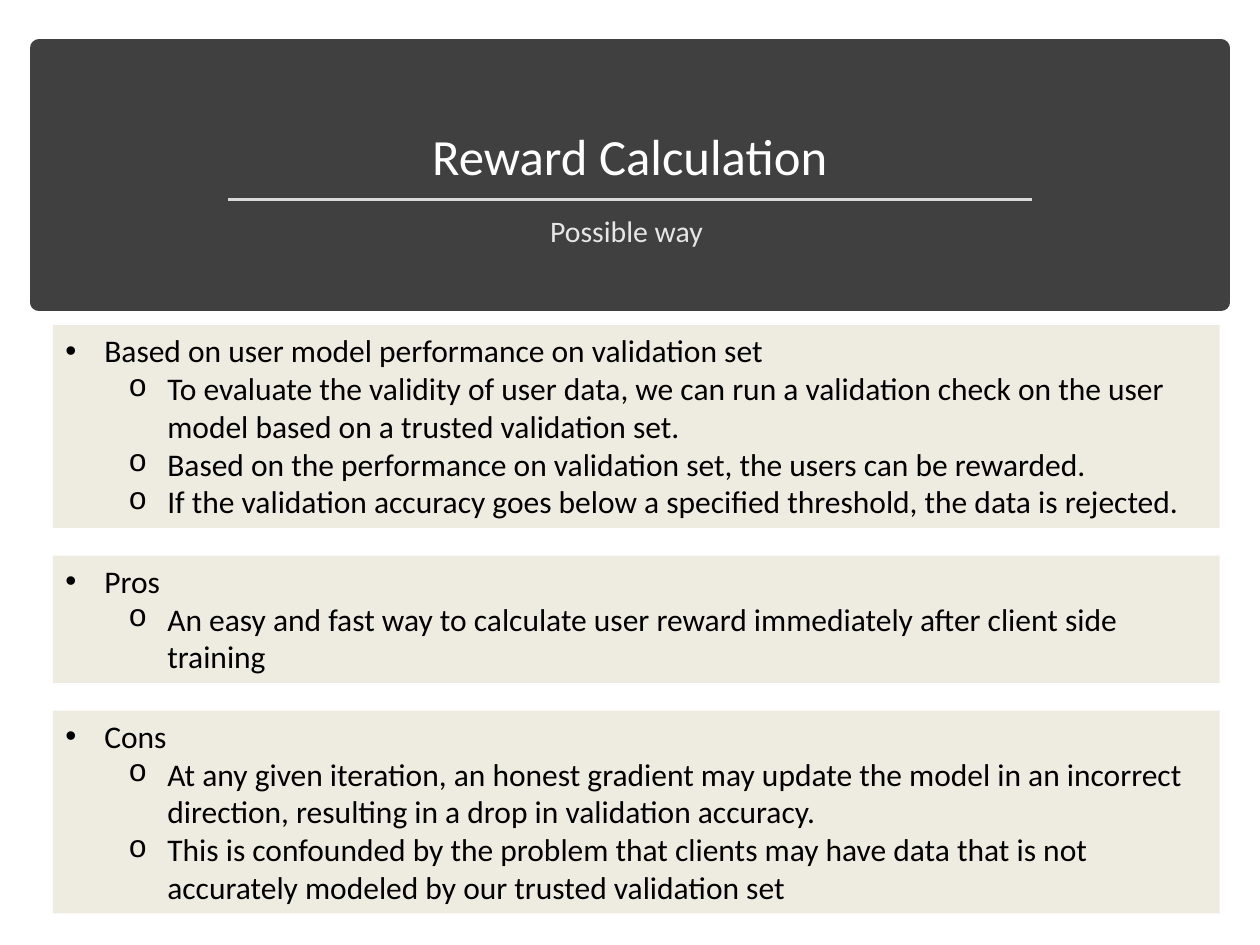
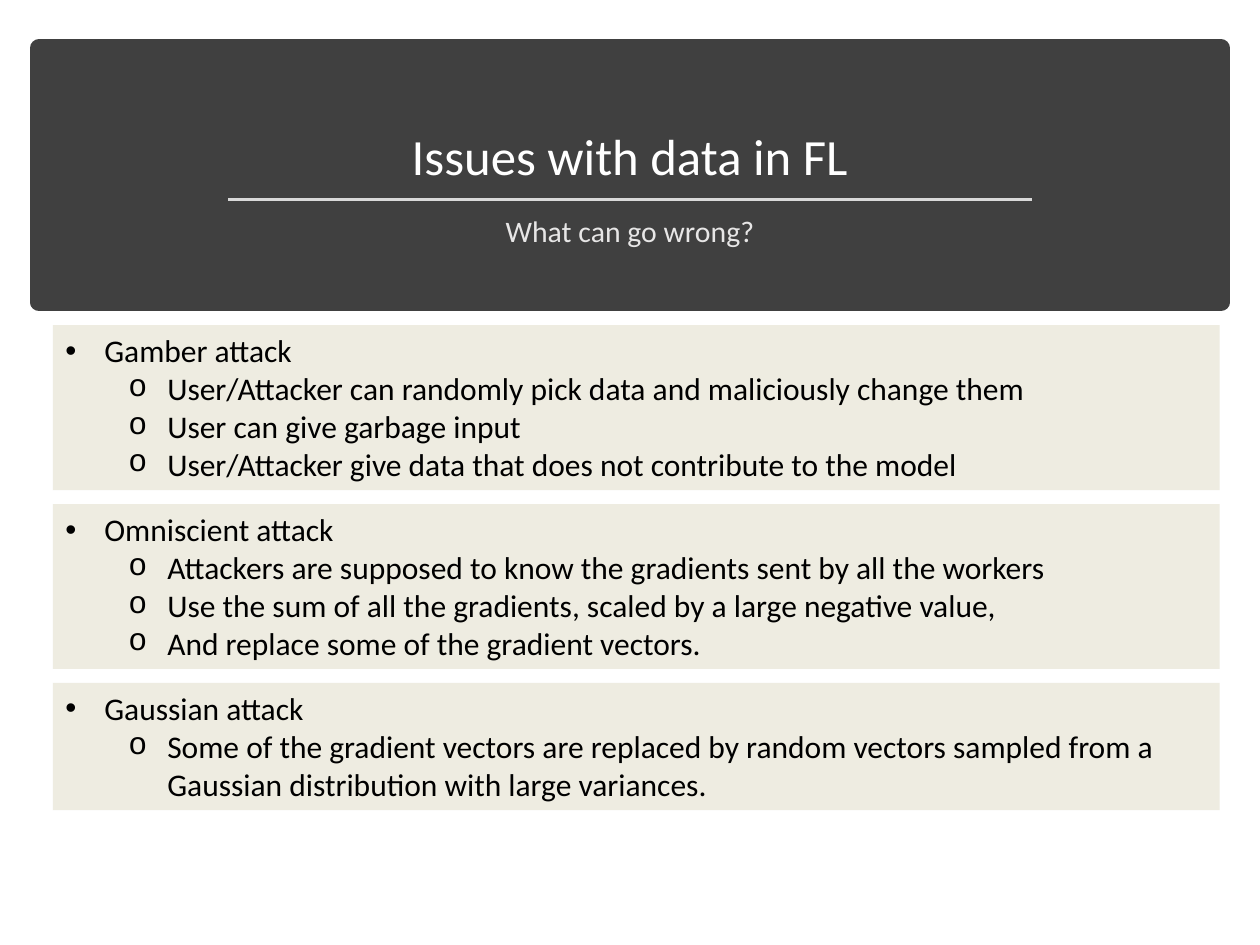
from dataclasses import dataclass

from lxml.etree import SubElement
from pptx import Presentation
from pptx.dml.color import RGBColor
from pptx.enum.shapes import MSO_CONNECTOR as Connector, MSO_SHAPE as Shape
from pptx.enum.text import MSO_ANCHOR as Anchor, PP_ALIGN as Align
from pptx.oxml.ns import qn
from pptx.util import Inches, Pt


@dataclass(frozen=True)
class Theme:
    """Colours, fonts and type sizes shared by the slides."""

    font: str = "Calibri"
    band: str = "404040"
    rule: str = "D9D9D9"
    panel: str = "EEECE1"
    title: str = "FFFFFF"
    subtitle: str = "E7E6E6"
    body: str = "000000"
    title_size: float = 29
    subtitle_size: float = 17
    body_size: float = 18


THEME = Theme()
BULLETS = (("•", "Arial", 0.31), ("o", "Courier New", 0.81))
HANGING = 0.31
LINE_HEIGHT = 0.3
PANEL_PADDING = 0.11

SLIDES = [
    {
        "title": "Reward Calculation",
        "subtitle": "Possible way ",
        "gap": 0.22,
        "panels": [
            (5, "Based on user model performance on validation set", [
                "To evaluate the validity of user data, we can run a validation check "
                "on the user model based on a trusted validation set.",
                "Based on the performance on validation set, the users can be rewarded.",
                "If the validation accuracy goes below a specified threshold, the data is rejected.",
            ]),
            (3, "Pros", [
                "An easy and fast way to calculate user reward immediately after client side training",
            ]),
            (5, "Cons", [
                "At any given iteration, an honest gradient may update the model in an "
                "incorrect direction, resulting in a drop in validation accuracy. ",
                "This is confounded by the problem that clients may have data that is not "
                "accurately modeled by our trusted validation set",
            ]),
        ],
    },
    {
        "title": "Issues with data in FL",
        "subtitle": "What can go wrong?",
        "gap": 0.11,
        "panels": [
            (4, "Gamber attack", [
                "User/Attacker can randomly pick data and maliciously change them ",
                "User can give garbage input",
                "User/Attacker give data that does not contribute to the model ",
            ]),
            (4, "Omniscient attack", [
                "Attackers are supposed to know the gradients sent by all the workers",
                "Use the sum of all the gradients, scaled by a large negative value,",
                "And replace some of the gradient vectors.",
            ]),
            (3, "Gaussian attack", [
                "Some of the gradient vectors are replaced by random vectors sampled from a "
                "Gaussian distribution with large variances.",
            ]),
        ],
    },
]


def write(paragraph, text, *, size, color, align=Align.LEFT, spacing=None, level=None):
    """Fill a paragraph with formatted text, bulleted when a level is given."""
    paragraph.alignment = align
    paragraph.line_spacing = spacing
    run = paragraph.add_run()
    run.text = text
    run.font.name = THEME.font
    run.font.size = Pt(size)
    run.font.color.rgb = RGBColor.from_string(color)
    if level is not None:
        character, font, indent = BULLETS[level]
        paragraph.level = level
        properties = paragraph._p.get_or_add_pPr()
        properties.set("marL", str(Inches(indent)))
        properties.set("indent", str(-Inches(HANGING)))
        SubElement(properties, qn("a:buFont"), typeface=font)
        SubElement(properties, qn("a:buChar"), char=character)


def add_box(slide, left, top, width, height, color):
    """Add a flat rectangle without an outline."""
    shape = slide.shapes.add_shape(
        Shape.RECTANGLE, Inches(left), Inches(top), Inches(width), Inches(height))
    shape.shadow.inherit = False
    shape.fill.solid()
    shape.fill.fore_color.rgb = RGBColor.from_string(color)
    shape.line.fill.background()
    return shape


def add_label(slide, left, top, width, height, text, anchor=Anchor.TOP, **style):
    """Add a centred single-paragraph text box."""
    shape = slide.shapes.add_textbox(
        Inches(left), Inches(top), Inches(width), Inches(height))
    frame = shape.text_frame
    frame.word_wrap = True
    frame.vertical_anchor = anchor
    write(frame.paragraphs[0], text, align=Align.CENTER, spacing=0.9, **style)


def add_header(slide, left, top, width, height, title, subtitle):
    """Add the dark band with its title, rule and subtitle."""
    band = add_box(slide, left, top, width, height, THEME.band)
    band.line.color.rgb = RGBColor.from_string(THEME.band)
    band.line.width = Pt(10)
    SubElement(band.line._get_or_add_ln(), qn("a:round"))
    add_label(slide, left + 0.12, top + 0.13, width - 0.24, 1.02, title, Anchor.BOTTOM,
              size=THEME.title_size, color=THEME.title)
    add_label(slide, left + 0.94, top + 1.29, width - 1.88, 0.46, subtitle,
              size=THEME.subtitle_size, color=THEME.subtitle)
    rule_y = Inches(top + 1.2)
    rule = slide.shapes.add_connector(
        Connector.STRAIGHT, Inches(left + 1.5), rule_y, Inches(left + width - 1.5), rule_y)
    rule.line.color.rgb = RGBColor.from_string(THEME.rule)
    rule.line.width = Pt(1.75)
    SubElement(rule._element.spPr, qn("a:effectLst"))


def add_panel(slide, left, top, width, height, heading, points):
    """Add a tinted panel with a heading and its sub-points."""
    frame = add_box(slide, left, top, width, height, THEME.panel).text_frame
    frame.word_wrap = True
    frame.vertical_anchor = Anchor.TOP
    for index, text in enumerate([heading, *points]):
        paragraph = frame.add_paragraph() if index else frame.paragraphs[0]
        write(paragraph, text, size=THEME.body_size, color=THEME.body, level=min(index, 1))


def add_panels(slide, left, top, width, gap, panels):
    """Stack panels downwards, each as tall as its lines of text."""
    for lines, heading, points in panels:
        height = PANEL_PADDING + lines * LINE_HEIGHT
        add_panel(slide, left, top, width, height, heading, points)
        top += height + gap


def main():
    """Build and save the presentation."""
    presentation = Presentation()
    presentation.slide_width = Inches(10)
    presentation.slide_height = Inches(7.5)
    for content in SLIDES:
        slide = presentation.slides.add_slide(presentation.slide_layouts[6])
        add_header(slide, 0.31, 0.38, 9.38, 2.02, content["title"], content["subtitle"])
        add_panels(slide, 0.42, 2.58, 9.26, content["gap"], content["panels"])
    presentation.save("out.pptx")


main()
